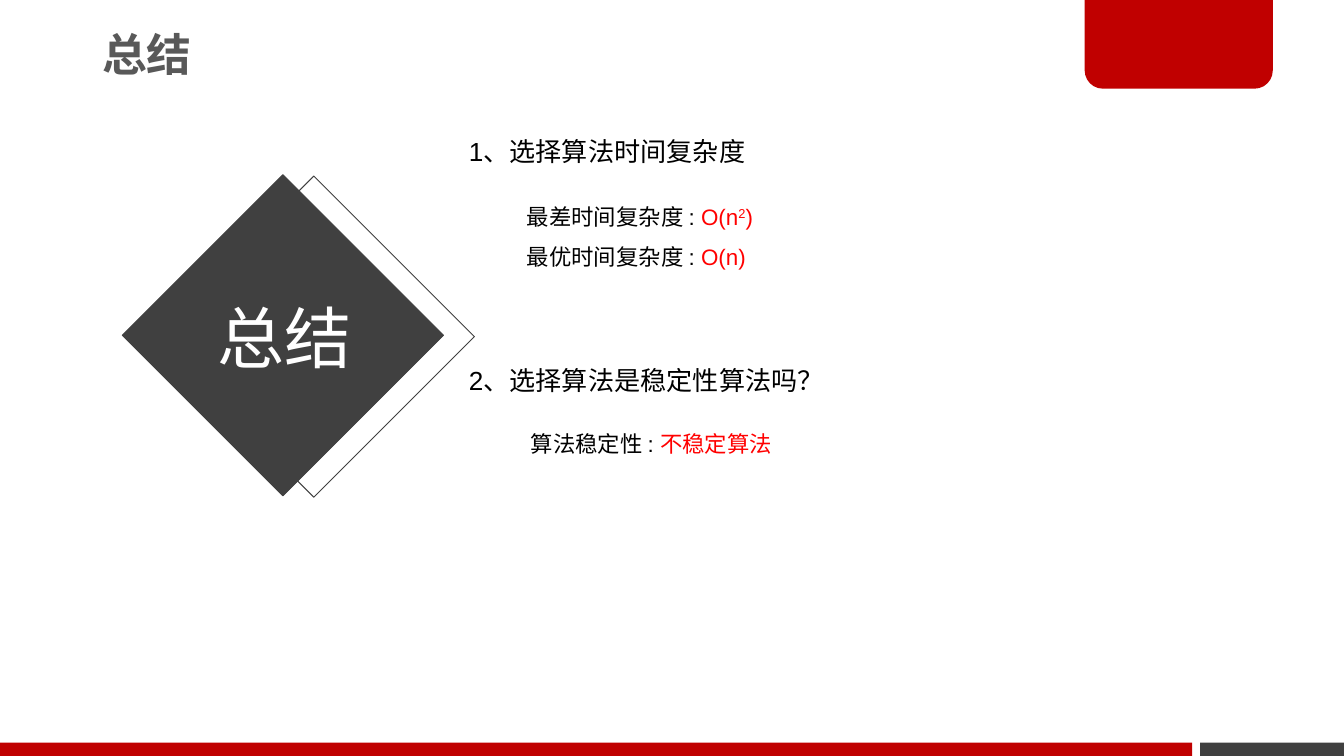
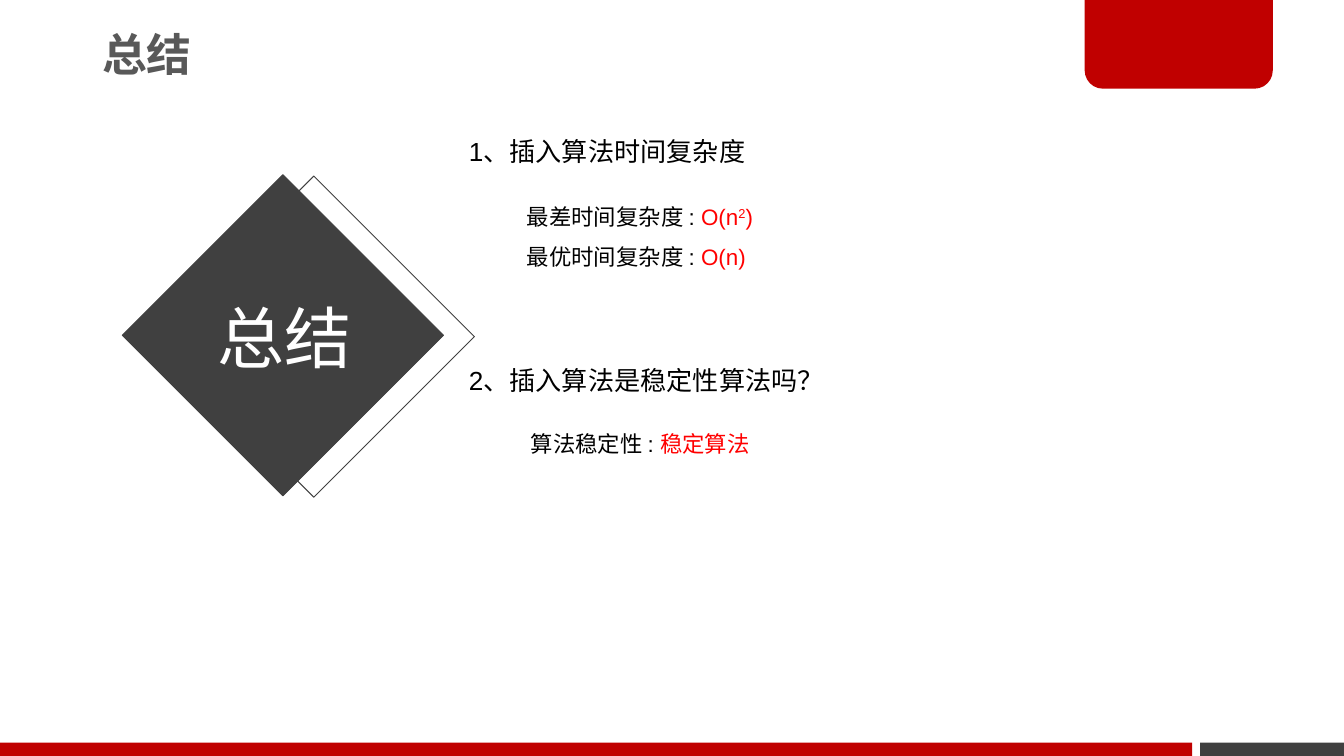
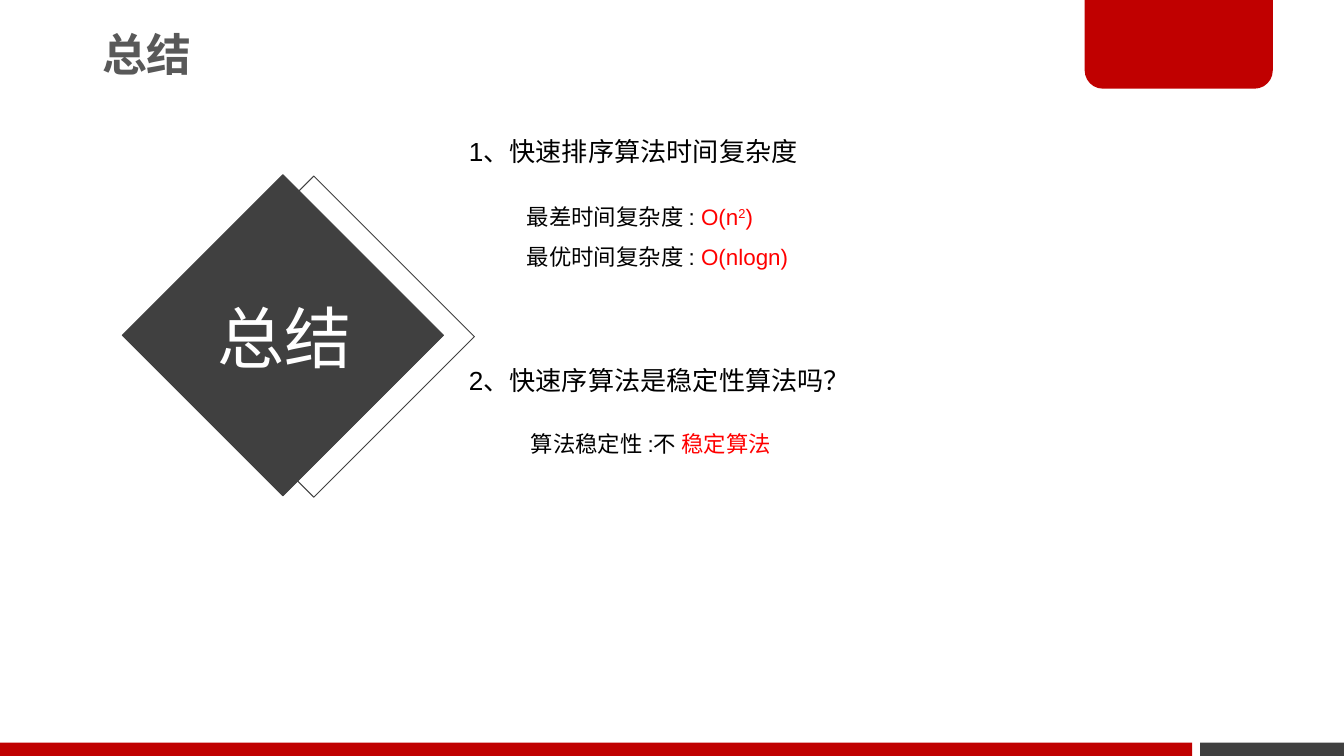
"""Build three summary slides on the complexity and stability of sorting algorithms."""
from lxml.etree import SubElement
from pptx import Presentation
from pptx.dml.color import RGBColor
from pptx.enum.shapes import MSO_SHAPE as Preset
from pptx.enum.text import MSO_ANCHOR as Anchor, MSO_AUTO_SIZE as AutoSize, PP_ALIGN as Align
from pptx.oxml.ns import qn
from pptx.util import Inches, Pt

WIDTH = 10
HEIGHT = WIDTH * 9 / 16
FONT = "Arial"
RED, DARK, GREY = "C00000", "404040", "595959"
BLACK, WHITE, ACCENT = "000000", "FFFFFF", "FF0000"

HEADING = "总结"
WORST = [("最差时间复杂度 : ", BLACK), ("O(n", ACCENT), ("2", ACCENT, "30000"), (")", ACCENT)]
SUMMARIES = [
    {
        "questions": ["1、选择算法时间复杂度", "2、选择算法是稳定性算法吗？"],
        "best": "O(n)",
        "stability": [("算法稳定性 : ", BLACK), ("不稳定算法", ACCENT)],
    },
    {
        "questions": ["1、插入算法时间复杂度", "2、插入算法是稳定性算法吗？"],
        "best": "O(n)",
        "stability": [("算法稳定性 : ", BLACK), ("稳定算法", ACCENT)],
    },
    {
        "questions": ["1、快速排序算法时间复杂度", "2、快速序算法是稳定性算法吗？"],
        "best": "O(nlogn)",
        "stability": [("算法稳定性 :不 ", BLACK), ("稳定算法", ACCENT)],
    },
]

BAND_HEIGHT, BAND_SPLIT, BAND_GAP = 0.1, 8.87, 0.06
DIAMOND_SIDE = 1.69
QUESTION_TOPS = [0.96, 2.66]


def color(value):
    return RGBColor.from_string(value)


def place(shape, left, top, width, height):
    shape.left, shape.top = Inches(left), Inches(top)
    shape.width, shape.height = Inches(width), Inches(height)


def add_block(slide, preset, box, fill=None, line=None, rotation=0):
    shape = slide.shapes.add_shape(preset, *map(Inches, box))
    shape.shadow.inherit = False
    shape.rotation = rotation
    if fill:
        shape.fill.solid()
        shape.fill.fore_color.rgb = color(fill)
    else:
        shape.fill.background()
    if line:
        shape.line.color.rgb = color(line)
        shape.line.width = Pt(0.5)
    else:
        shape.line.fill.background()
    return shape


def add_text_box(slide, box):
    return slide.shapes.add_textbox(*map(Inches, box))


def write_heading(shape, size, text_color, align, bold=False):
    frame = shape.text_frame
    frame.word_wrap = True
    frame.auto_size = AutoSize.NONE
    frame.vertical_anchor = Anchor.MIDDLE
    frame.margin_left = frame.margin_right = Inches(0.07)
    frame.margin_top = frame.margin_bottom = Inches(0.04)
    frame.text = HEADING
    paragraph = frame.paragraphs[0]
    paragraph.alignment = align
    paragraph.line_spacing = 0.9
    font = paragraph.font
    font.name, font.size, font.bold = FONT, Pt(size), bold
    font.color.rgb = color(text_color)


def write_lines(shape, lines, size, spacing=1.0):
    frame = shape.text_frame
    frame.word_wrap = True
    frame.auto_size = AutoSize.SHAPE_TO_FIT_TEXT
    for index, pieces in enumerate(lines):
        paragraph = frame.add_paragraph() if index else frame.paragraphs[0]
        properties = paragraph._p.get_or_add_pPr()
        properties.set("marL", str(Inches(0.25)))
        properties.set("indent", str(Inches(-0.25)))
        SubElement(properties, qn("a:buNone"))
        paragraph.font.name, paragraph.font.size = FONT, Pt(size)
        paragraph.line_spacing = spacing
        paragraph.space_before = Pt(0)
        for text, text_color, *baseline in pieces:
            run = paragraph.add_run()
            run.text = text
            run.font.color.rgb = color(text_color)
            if baseline:
                run._r.get_or_add_rPr().set("baseline", baseline[0])


def add_frame(slide):
    band_top = HEIGHT - BAND_HEIGHT
    right_start = BAND_SPLIT + BAND_GAP
    add_block(slide, Preset.RECTANGLE,
              (right_start, band_top, WIDTH - right_start, BAND_HEIGHT), DARK)
    tab = add_block(slide, Preset.ROUND_2_SAME_RECTANGLE, (8.07, -0.02, 1.4, 0.68), RED, rotation=180)
    tab.adjustments[0] = 0.2
    add_block(slide, Preset.RECTANGLE, (0, band_top, BAND_SPLIT, BAND_HEIGHT), RED)
    place(slide.shapes.title, 0.69, -0.02, 2.5, 0.89)
    write_heading(slide.shapes.title, 24, GREY, Align.LEFT, bold=True)


def add_diamond(slide):
    for left, top, fill in [(1.49, 1.66, None), (1.26, 1.65, DARK)]:
        add_block(slide, Preset.RECTANGLE, (left, top, DIAMOND_SIDE, DIAMOND_SIDE),
                  fill, DARK, rotation=45)
    write_heading(add_text_box(slide, (0.02, 2.1, 4.19, 0.89)), 36, WHITE, Align.CENTER)


def add_summary(presentation, summary):
    slide = presentation.slides.add_slide(presentation.slide_layouts[1])
    add_frame(slide)
    add_diamond(slide)
    for question, top in zip(summary["questions"], QUESTION_TOPS):
        write_lines(add_text_box(slide, (3.39, top, 5.78, 0.34)), [[(question, BLACK)]], 14)
    complexity = slide.placeholders[1]
    place(complexity, 3.82, 1.36, 5.67, 0.68)
    best = [("最优时间复杂度 : ", BLACK), (summary["best"], ACCENT)]
    write_lines(complexity, [WORST, best], 12, 1.5)
    write_lines(add_text_box(slide, (3.85, 3.05, 5.01, 0.38)), [summary["stability"]], 12, 1.5)


def main():
    presentation = Presentation()
    presentation.slide_width, presentation.slide_height = Inches(WIDTH), Inches(HEIGHT)
    for summary in SUMMARIES:
        add_summary(presentation, summary)
    presentation.save("out.pptx")


if __name__ == "__main__":
    main()
